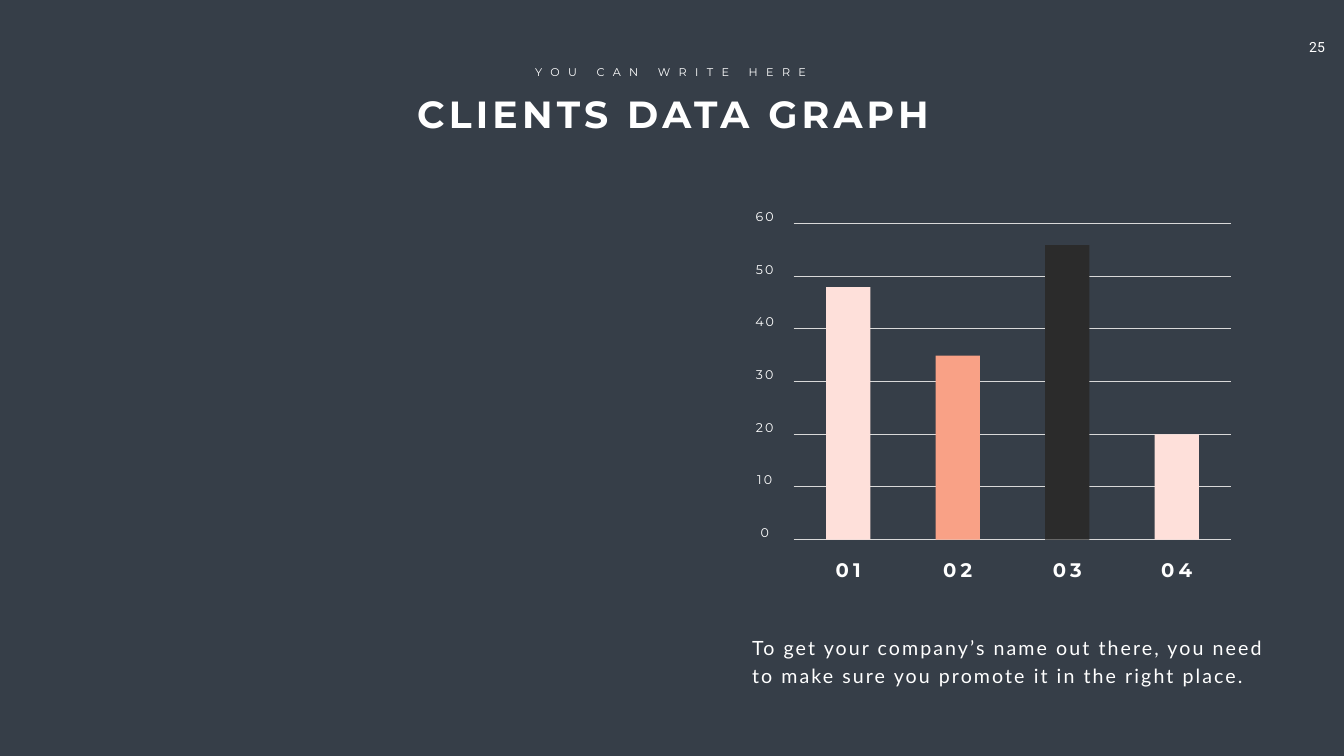
from lxml.etree import SubElement
from pptx import Presentation
from pptx.dml.color import RGBColor
from pptx.enum.shapes import MSO_CONNECTOR, MSO_SHAPE
from pptx.enum.text import PP_ALIGN
from pptx.oxml.ns import qn
from pptx.util import Pt

COLORS = {
    "background": "363E48",
    "text": "FFFFFF",
    "grid": "D9D9D9",
    "blush": "FEE0DA",
    "coral": "F9A186",
    "black": "2B2B2B",
}
STYLES = {
    "page": {"name": "Roboto", "size": Pt(20)},
    "title": {"name": "Montserrat", "size": Pt(54), "bold": True},
    "subtitle": {"name": "Montserrat", "size": Pt(16)},
    "scale": {"name": "Montserrat", "size": Pt(18)},
    "client": {"name": "Montserrat", "size": Pt(28), "bold": True},
    "body": {"name": "Lato", "size": Pt(28)},
}
SPACING = {"title": 6, "subtitle": 12, "scale": 3, "client": 6, "body": 3}
CLIENTS = [
    ("01", 48, "blush"),
    ("02", 35, "coral"),
    ("03", 56, "black"),
    ("04", 20, "blush"),
]
SCALE_TOP, SCALE_STEP = 60, 10


def apply(target, values):
    """Set each named attribute on the target."""
    for name, value in values.items():
        setattr(target, name, value)


def color(name):
    """Return the named colour."""
    return RGBColor.from_string(COLORS[name])


def add_text(slide, box, text, style, align=PP_ALIGN.CENTER, leading=None):
    """Place one styled paragraph in a box."""
    frame = slide.shapes.add_textbox(*map(Pt, box)).text_frame
    frame.word_wrap = True
    paragraph = frame.paragraphs[0]
    apply(paragraph, {"alignment": align, "line_spacing": leading})
    run = paragraph.add_run()
    run.text = text
    apply(run.font, STYLES[style])
    run.font.color.rgb = color("text")
    run._r.get_or_add_rPr().set("spc", str(SPACING.get(style, 0) * 100))


def add_grid_line(slide, left, y, width):
    """Draw one horizontal line of the scale."""
    ends = map(Pt, (left, y, left + width, y))
    grid_line = slide.shapes.add_connector(MSO_CONNECTOR.STRAIGHT, *ends)
    grid_line.line.color.rgb = color("grid")
    grid_line.line.width = Pt(0.5)
    SubElement(grid_line._element.spPr, qn("a:effectLst"))


def add_bar(slide, box, fill_name):
    """Draw one client bar."""
    bar = slide.shapes.add_shape(MSO_SHAPE.RECTANGLE, *map(Pt, box))
    bar.shadow.inherit = False
    bar.fill.solid()
    bar.fill.fore_color.rgb = color(fill_name)
    bar.line.fill.background()


def add_heading(slide, left, top, width):
    """Place the small line and the title below it."""
    add_text(slide, (left - 3.5, top, width, 27), "YOU CAN WRITE HERE", "subtitle")
    add_text(slide, (left, top + 36, width, 73), "CLIENTS DATA GRAPH", "title")


def add_client_graph(slide, left, top, width, height):
    """Draw the scale, the client bars and their labels."""
    unit = height / SCALE_TOP
    base = top + height
    for value in range(0, SCALE_TOP + 1, SCALE_STEP):
        y = base - value * unit
        add_grid_line(slide, left, y, width)
        add_text(slide, (left - 66.3, y - 24, 50.4, 28), str(value), "scale")

    pitch = width / len(CLIENTS)
    bar_width, label_width = 63.4, 199.4
    for index, (client, value, fill_name) in enumerate(CLIENTS):
        center = left + (index + 0.5) * pitch
        bar_height = value * unit
        add_bar(slide, (center - bar_width / 2, base + 1 - bar_height,
                        bar_width, bar_height), fill_name)
        add_text(slide, (center - label_width / 2, base + 24, label_width, 40),
                 client, "client")


def main():
    """Build and save the slide."""
    deck = Presentation()
    apply(deck, {"slide_width": Pt(1919.52), "slide_height": Pt(1080)})
    slide = deck.slides.add_slide(deck.slide_layouts[6])
    background = slide.background.fill
    background.solid()
    background.fore_color.rgb = color("background")

    add_text(slide, (1845, 52, 72, 32), "25", "page")
    add_heading(slide, 515, 89.8, 893)
    add_client_graph(slide, 1133.3, 319, 625.5, 451)
    add_text(slide, (1067, 897.6, 762, 86),
             "To get your company’s name out there, you need to make sure "
             "you promote it in the right place.",
             "body", PP_ALIGN.LEFT, Pt(40.8))
    deck.save("out.pptx")


if __name__ == "__main__":
    main()
